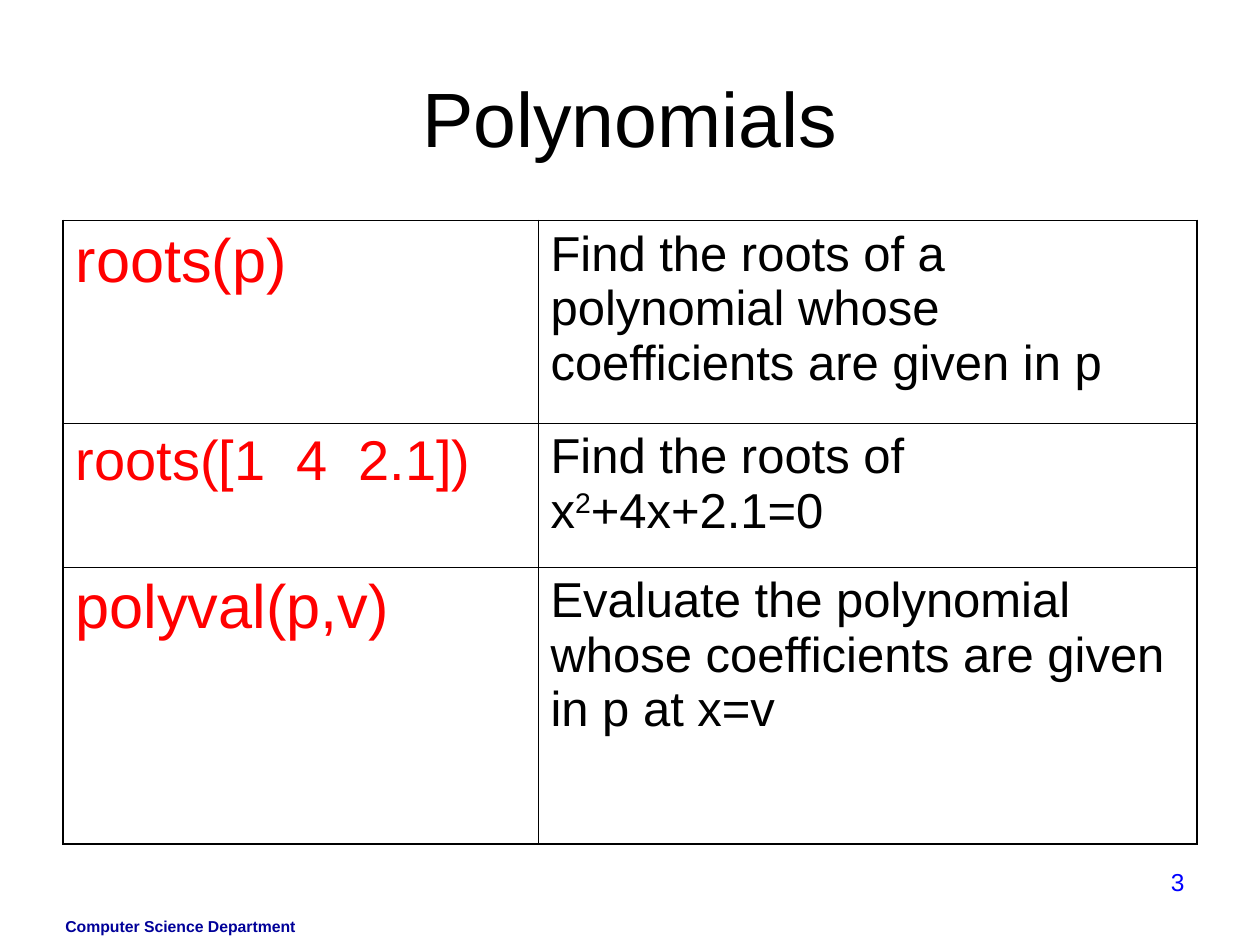
"""Build the Polynomials slide: a table of polynomial functions and their meaning."""
from lxml.etree import fromstring
from pptx import Presentation
from pptx.dml.color import RGBColor
from pptx.enum.text import MSO_ANCHOR, PP_ALIGN
from pptx.oxml.ns import nsdecls
from pptx.util import Inches, Pt


def color(value):
    """Turn a hex string into a colour."""
    return RGBColor.from_string(value)


def write(frame, text, size, fill="000000", bold=False, align=PP_ALIGN.LEFT):
    """Write one paragraph; text between carets is superscript."""
    frame.word_wrap = True
    para = frame.paragraphs[0]
    para.alignment = align
    for index, piece in enumerate(text.split("^")):
        span = para.add_run()
        span.text = piece
        span.font.name = "Arial"
        span.font.size = Pt(size)
        span.font.bold = bold
        span.font.color.rgb = color(fill)
        if index % 2:
            span.font._element.set("baseline", "30000")


deck = Presentation()
deck.slide_width, deck.slide_height = Inches(10), Inches(7.5)
page = deck.slides.add_slide(deck.slide_layouts[5])

footer = page.shapes.add_textbox(Inches(0.42), Inches(7.23), Inches(2.33), Inches(0.27))
write(footer.text_frame, "Computer Science Department", 9, fill="000099", bold=True)

title = page.shapes.title
title.left, title.top = Inches(0.5), Inches(0.3)
title.width, title.height = Inches(9), Inches(1.25)
title.text_frame.vertical_anchor = MSO_ANCHOR.MIDDLE
write(title.text_frame, "Polynomials", 44, align=PP_ALIGN.CENTER)

functions = [
    ("roots(p)", 35, "Find the roots of a polynomial whose coefficients are given in p", 1.61),
    ("roots([1  4  2.1])", 32, "Find the roots of x^2^+4x+2.1=0", 1.14),
    ("polyval(p,v)", 35, "Evaluate the polynomial whose coefficients are given in p at x=v", 2.2),
]
table = page.shapes.add_table(
    len(functions), 2, Inches(0.5), Inches(1.75), Inches(9), Inches(4.95)
).table
table.first_row = False
table.horz_banding = False
table.columns[0].width = Inches(3.77)
table.columns[1].width = Inches(5.23)

last_row = len(functions) - 1
for row, (call, call_size, meaning, height) in enumerate(functions):
    table.rows[row].height = Inches(height)
    write(table.cell(row, 0).text_frame, call, call_size, fill="FF0000")
    write(table.cell(row, 1).text_frame, meaning, 28)
    for column in range(2):
        cell = table.cell(row, column)
        cell.fill.background()
        outer_sides = {"L": column == 0, "R": column == 1, "T": row == 0, "B": row == last_row}
        properties = cell._tc.get_or_add_tcPr()
        for position, (side, outer) in enumerate(outer_sides.items()):
            width = Pt(1.08 if outer else 0.45)
            border = fromstring(
                f'<a:ln{side} {nsdecls("a")} w="{width}"><a:solidFill>'
                f'<a:srgbClr val="000000"/></a:solidFill></a:ln{side}>'
            )
            properties.insert(position, border)

number = page.shapes.add_textbox(Inches(7.17), Inches(6.83), Inches(2.33), Inches(0.52))
write(number.text_frame, "3", 14, fill="0000FF", align=PP_ALIGN.RIGHT)

deck.save("out.pptx")
